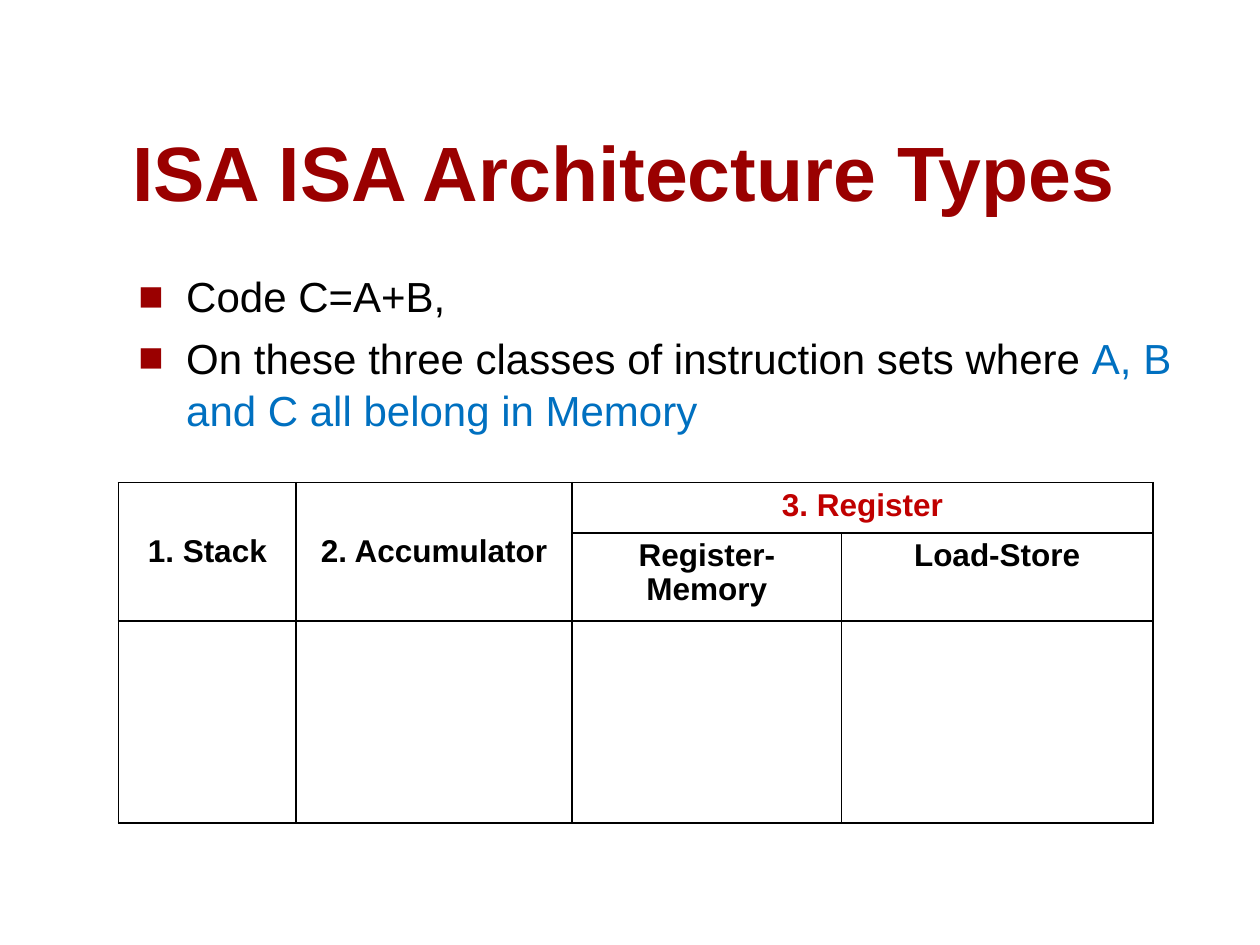
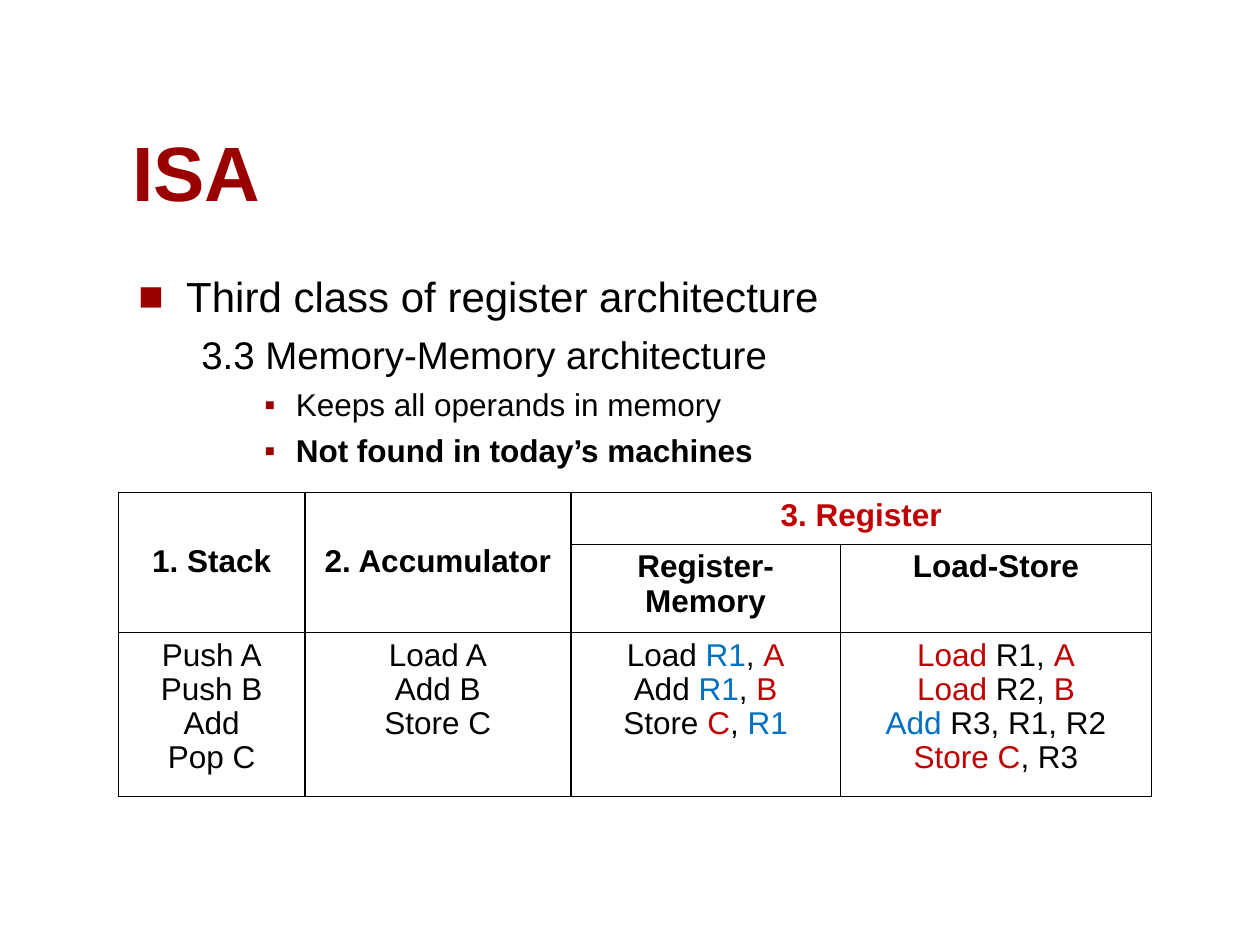
from lxml import etree
from pptx import Presentation
from pptx.dml.color import RGBColor
from pptx.enum.text import MSO_ANCHOR, PP_ALIGN
from pptx.oxml.ns import qn
from pptx.util import Inches, Pt

TOP, MIDDLE, BOTTOM = MSO_ANCHOR.TOP, MSO_ANCHOR.MIDDLE, MSO_ANCHOR.BOTTOM
LEFT, CENTER = PP_ALIGN.LEFT, PP_ALIGN.CENTER

FONT = "Arial"
BLACK, MAROON, RED, BLUE = "000000", "9A0000", "C00000", "0070C0"
TITLE_BOX = (0.95, 0.94, 8.93, 0.83)
BODY_BOX = (1, 2.08, 8.87, 4.58)
TABLE_LEFT = 0.94
BODY_SPACING, CELL_SPACING = 1.05, 0.97

# Per outline level: text size, left indent, hanging indent, bullet
LEVELS = [
    (24, 0.38, 0.38, "■"),
    (22, 0.81, 0.31, None),
    (18, 1.25, 0.25, "▪"),
]


def rgb(value):
    return RGBColor.from_string(value)


def add_runs(p, runs, size, bold=False):
    """Add runs given as plain text (black) or (text, colour) pairs."""
    for run in runs:
        text, color = (run, BLACK) if isinstance(run, str) else run
        r = p.add_run()
        r.text = text
        for name, value in {"name": FONT, "size": Pt(size), "bold": bold}.items():
            setattr(r.font, name, value)
        r.font.color.rgb = rgb(color)


def paragraphs(tf, count):
    return [tf.paragraphs[0]] + [tf.add_paragraph() for _ in range(count - 1)]


def add_text_box(s, box, anchor):
    tf = s.shapes.add_textbox(*map(Inches, box)).text_frame
    tf.word_wrap = True
    tf.vertical_anchor = anchor
    return tf


def set_bullet(p, indent, hanging, char):
    pPr = p._p.get_or_add_pPr()
    pPr.set("marL", str(Inches(indent)))
    pPr.set("indent", str(-Inches(hanging)))
    if char is None:
        etree.SubElement(pPr, qn("a:buNone"))
        return
    color = etree.SubElement(pPr, qn("a:buClr"))
    etree.SubElement(color, qn("a:srgbClr"), val=MAROON)
    etree.SubElement(pPr, qn("a:buFont"), typeface=FONT)
    etree.SubElement(pPr, qn("a:buChar"), char=char)


def add_title(s, text):
    p = add_text_box(s, TITLE_BOX, BOTTOM).paragraphs[0]
    p.alignment = LEFT
    add_runs(p, [(text, MAROON)], 44, bold=True)


def add_outline(s, items):
    """Fill the body with (level, runs, bold) items."""
    tf = add_text_box(s, BODY_BOX, TOP)
    for i, (p, (level, runs, bold)) in enumerate(zip(paragraphs(tf, len(items)), items)):
        size, indent, hanging, char = LEVELS[level]
        set_bullet(p, indent, hanging, char)
        p.line_spacing = BODY_SPACING
        if i:
            p.space_before = Pt(size * 0.2)
        add_runs(p, runs, size, bold)


def set_borders(cell):
    tcPr = cell._tc.get_or_add_tcPr()
    for i, side in enumerate(("lnL", "lnR", "lnT", "lnB")):
        line = etree.Element(qn(f"a:{side}"), w=str(Pt(1)))
        fill = etree.SubElement(line, qn("a:solidFill"))
        etree.SubElement(fill, qn("a:srgbClr"), val=BLACK)
        tcPr.insert(i, line)


def fill_cell(cell, lines, bold=False, anchor=TOP):
    cell.vertical_anchor = anchor
    for p, runs in zip(paragraphs(cell.text_frame, len(lines)), lines):
        p.alignment = CENTER
        p.line_spacing = CELL_SPACING
        add_runs(p, runs, 18, bold)


def add_class_table(s, top, widths, heights, programs=()):
    """Table of instruction set classes with one code program per column."""
    table = s.shapes.add_table(
        len(heights), len(widths), Inches(TABLE_LEFT), Inches(top),
        Inches(sum(widths)), Inches(sum(heights))).table
    table.first_row = table.horz_banding = False
    for column, width in zip(table.columns, widths):
        column.width = Inches(width)
    for row, height in zip(table.rows, heights):
        row.height = Inches(height)
    for cell in table.iter_cells():
        cell.fill.background()
        set_borders(cell)

    for col, name in enumerate(("1. Stack", "2. Accumulator")):
        table.cell(0, col).merge(table.cell(1, col))
        fill_cell(table.cell(0, col), [[name]], bold=True, anchor=MIDDLE)
    table.cell(0, 2).merge(table.cell(0, 3))
    fill_cell(table.cell(0, 2), [[("3. Register", RED)]], bold=True)
    for col, name in enumerate(("Register-Memory", "Load-Store"), start=2):
        fill_cell(table.cell(1, col), [[name]], bold=True)
    for col, lines in enumerate(programs):
        fill_cell(table.cell(2, col), lines)


def add_slide(prs, title, outline, **table):
    s = prs.slides.add_slide(prs.slide_layouts[6])
    add_title(s, title)
    add_outline(s, outline)
    add_class_table(s, **table)


def main():
    prs = Presentation()
    prs.slide_width, prs.slide_height = Inches(10), Inches(7.5)

    add_slide(
        prs, "ISA ISA Architecture Types",
        [(0, ["Code C=A+B,"], False),
         (0, ["On these three classes of instruction sets where ",
              ("A, B and C all belong in Memory", BLUE)], False)],
        top=3.83, widths=(1.41, 2.19, 2.14, 2.47), heights=(0.4, 0.7, 1.6))

    r1 = ("R1", BLUE)
    a, b, c = ((name, RED) for name in "ABC")
    load = ("Load", RED)
    programs = [
        [["Push A"], ["Push B"], ["Add"], ["Pop C"]],
        [["Load A"], ["Add B"], ["Store C"]],
        [["Load ", r1, ", ", a], ["Add ", r1, ", ", b], ["Store ", c, ", ", r1]],
        [[load, " R1, ", a], [load, " R2, ", b],
         [("Add", BLUE), " R3, R1, R2"], [("Store C", RED), ", R3"]],
    ]
    add_slide(
        prs, "ISA",
        [(0, ["Third class of register architecture"], False),
         (1, ["3.3 Memory-Memory architecture"], False),
         (2, ["Keeps all operands in memory"], False),
         (2, ["Not found in today’s machines"], True)],
        top=3.91, widths=(1.48, 2.11, 2.14, 2.47), heights=(0.41, 0.7, 1.3),
        programs=programs)

    prs.save("out.pptx")


if __name__ == "__main__":
    main()
